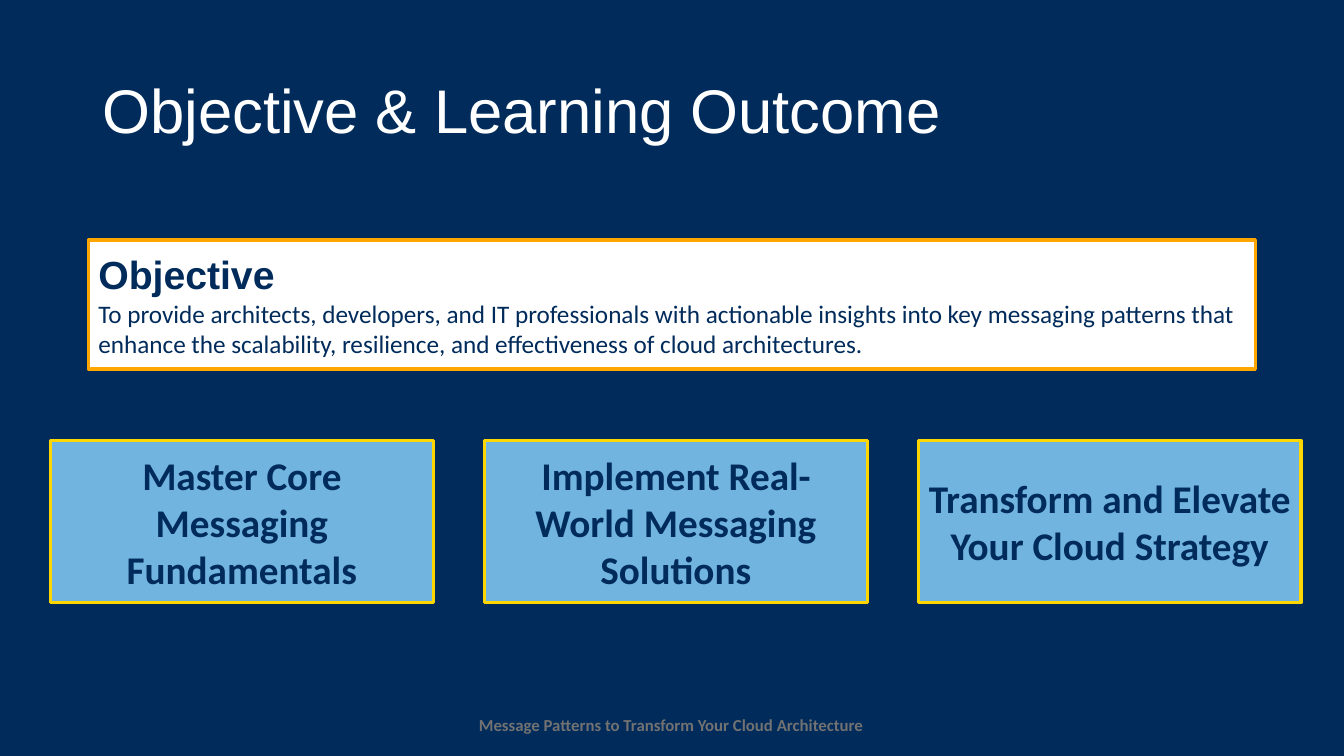
from pptx import Presentation
from pptx.dml.color import RGBColor
from pptx.enum.shapes import MSO_SHAPE
from pptx.enum.text import MSO_ANCHOR, PP_ALIGN
from pptx.util import Cm, Pt

RECTANGLE = MSO_SHAPE.RECTANGLE
MIDDLE = MSO_ANCHOR.MIDDLE
LEFT = PP_ALIGN.LEFT
CENTER = PP_ALIGN.CENTER

NAVY = RGBColor(0x00, 0x2B, 0x5B)
WHITE = RGBColor(0xFF, 0xFF, 0xFF)
ORANGE = RGBColor(0xFF, 0xA5, 0x00)
GOLD = RGBColor(0xFF, 0xD7, 0x00)
SKY = RGBColor(0x72, 0xB4, 0xE0)
GRAY = RGBColor(0x72, 0x72, 0x72)

OUTCOMES = [
    "Master Core Messaging Fundamentals",
    "Implement Real-World Messaging Solutions",
    "Transform and Elevate Your Cloud Strategy",
]


def write(paragraph, text, font_name, size, color, bold=False, alignment=LEFT):
    paragraph.text = text
    paragraph.alignment = alignment
    font = paragraph.font
    font.name = font_name
    font.size = Pt(size)
    font.bold = bold
    font.color.rgb = color


def add_panel(slide, left, top, width, height, fill, border):
    shape = slide.shapes.add_shape(RECTANGLE, left, top, width, height)
    shape.shadow.inherit = False
    shape.fill.solid()
    shape.fill.fore_color.rgb = fill
    shape.line.color.rgb = border
    shape.line.width = Pt(2.25)
    shape.text_frame.word_wrap = True
    shape.text_frame.vertical_anchor = MIDDLE
    return shape.text_frame


def add_title(slide, left, top, width, height):
    frame = slide.shapes.add_textbox(left, top, width, height).text_frame
    frame.word_wrap = True
    frame.vertical_anchor = MIDDLE
    paragraph = frame.paragraphs[0]
    write(paragraph, "Objective & Learning Outcome", "Arial", 44, WHITE)
    paragraph.line_spacing = 0.9


def add_objective(slide, left, top, width, height):
    frame = add_panel(slide, left, top, width, height, WHITE, ORANGE)
    write(frame.paragraphs[0], "Objective", "Arial", 28, NAVY, bold=True)
    write(
        frame.add_paragraph(),
        "To provide architects, developers, and IT professionals with actionable "
        "insights into key messaging patterns that enhance the scalability, "
        "resilience, and effectiveness of cloud architectures.",
        "Calibri", 18, NAVY,
    )


def add_outcomes(slide, left, top, width, height):
    card_width = Cm(9.65)
    pitch = (width - card_width) // (len(OUTCOMES) - 1)
    for index, outcome in enumerate(OUTCOMES):
        frame = add_panel(slide, left + index * pitch, top, card_width, height, SKY, GOLD)
        write(frame.paragraphs[0], outcome, "Calibri", 28, NAVY, True, CENTER)


def add_footer(slide, left, top, width, height):
    frame = slide.shapes.add_textbox(left, top, width, height).text_frame
    frame.word_wrap = False
    write(frame.paragraphs[0], "Message Patterns to Transform Your Cloud Architecture",
          "Calibri", 12, GRAY, True, CENTER)


def main():
    presentation = Presentation()
    presentation.slide_width = Cm(33.87)
    presentation.slide_height = Cm(19.05)
    slide = presentation.slides.add_slide(presentation.slide_layouts[6])
    slide.background.fill.solid()
    slide.background.fill.fore_color.rgb = NAVY

    add_footer(slide, Cm(11.76), Cm(17.88), Cm(10.31), Cm(0.77))
    add_title(slide, Cm(2.33), Cm(1.01), Cm(29.21), Cm(3.68))
    add_objective(slide, Cm(2.23), Cm(6.05), Cm(29.41), Cm(3.25))
    add_outcomes(slide, Cm(1.27), Cm(11.1), Cm(31.52), Cm(4.09))
    presentation.save("out.pptx")


if __name__ == "__main__":
    main()
